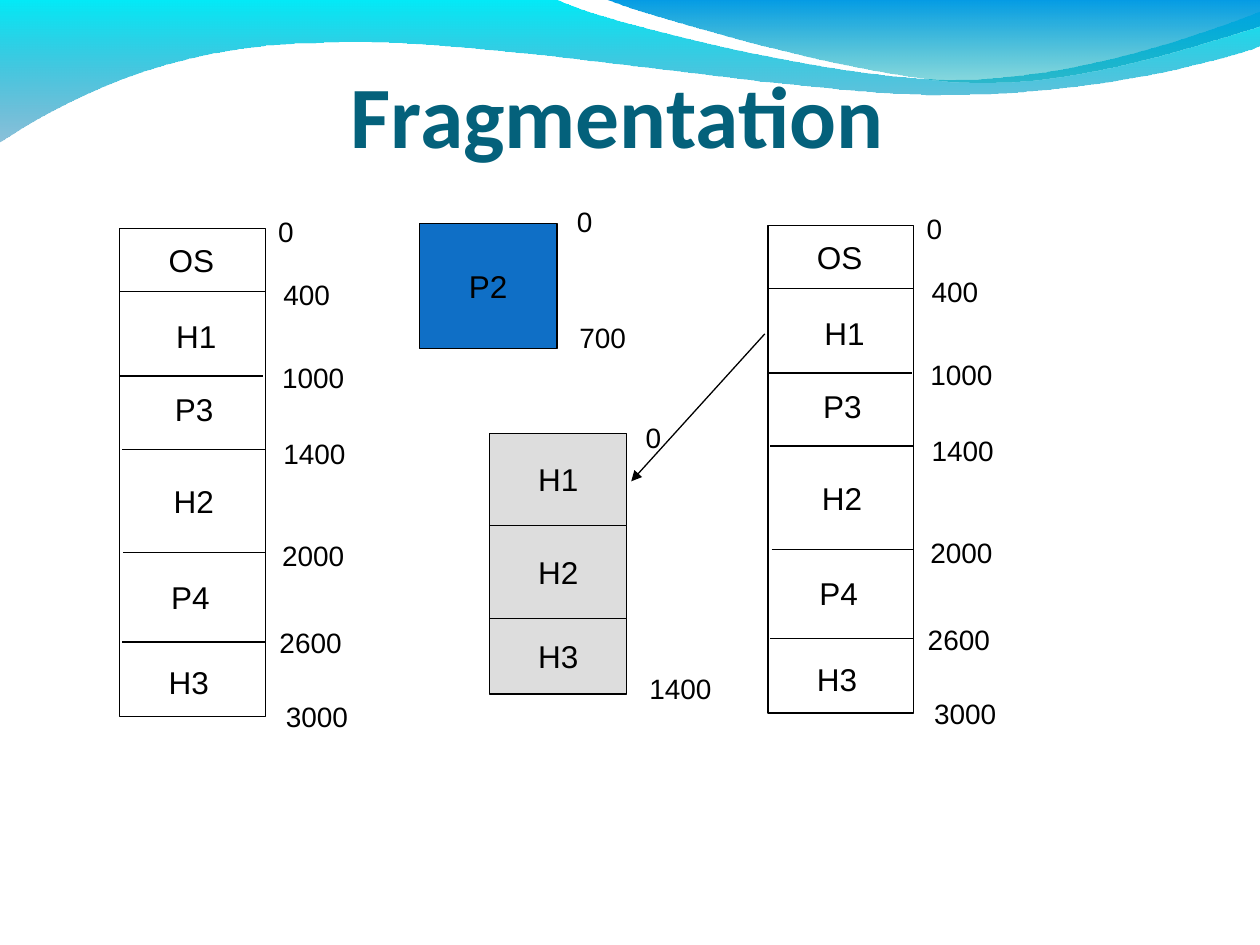
from lxml import etree
from pptx import Presentation
from pptx.dml.color import RGBColor
from pptx.enum.shapes import MSO_CONNECTOR, MSO_SHAPE
from pptx.enum.text import MSO_ANCHOR, MSO_AUTO_SIZE, PP_ALIGN
from pptx.oxml.ns import qn
from pptx.util import Inches, Pt

STRAIGHT = MSO_CONNECTOR.STRAIGHT
RECTANGLE = MSO_SHAPE.RECTANGLE
TOP, MIDDLE, BOTTOM = MSO_ANCHOR.TOP, MSO_ANCHOR.MIDDLE, MSO_ANCHOR.BOTTOM
LEFT, CENTER = PP_ALIGN.LEFT, PP_ALIGN.CENTER
FIT_SHAPE = MSO_AUTO_SIZE.SHAPE_TO_FIT_TEXT

BLACK = RGBColor(0x00, 0x00, 0x00)
TITLE_TEAL = RGBColor(0x04, 0x61, 0x7B)
PROCESS_BLUE = RGBColor(0x0F, 0x6F, 0xC6)
HOLE_GRAY = RGBColor(0xDD, 0xDD, 0xDD)
CYAN = RGBColor(0x00, 0xEB, 0xF8)
DEEP_TEAL = RGBColor(0x00, 0x79, 0xAF)
SKY = RGBColor(0x00, 0x9B, 0xE5)
SEA = RGBColor(0x00, 0xAD, 0xB6)

COLUMNS, ROWS = 1000, 750
WIDTH, HEIGHT = Inches(10), Inches(7.5)

LEFT_WAVE = [
    [(0, -1)], [(440, -1)],
    [(476, 17), (664, 63), (758, 63)], [(853, 63), (958, 26), (1000, 9)],
    [(1001, 36)],
    [(983, 44), (870, 76), (746, 75)], [(622, 75), (382, 28), (257, 34)],
    [(129, 35), (46, 83), (-1, 113)],
]
RIGHT_WAVE = [
    [(479, -1)],
    [(509, 11), (682, 62), (769, 65)], [(856, 69), (961, 32), (1000, 21)],
    [(1000, 0)],
]

MEMORY_DIVIDERS = [(0, 50, 115), (0, 117, 114), (2, 175, 114), (3, 257, 112), (2, 328, 114)]
MEMORY_ADDRESSES = [
    ("0", 116, -16), ("400", 120, 34), ("1000", 119, 100), ("1400", 120, 160),
    ("2000", 119, 241), ("2600", 117, 310), ("3000", 122, 369),
]
MEMORY_BLOCKS = [
    ("OS", 29, 5), ("H1", 35, 65), ("P3", 34, 123),
    ("H2", 33, 196), ("P4", 31, 272), ("H3", 29, 340),
]
HOLES = [("H1", 73), ("H2", 74), ("H3", 60)]


def column(count):
    return round(WIDTH * count / COLUMNS)


def row(count):
    return round(HEIGHT * count / ROWS)


def area(left, top, width, height):
    return column(left), row(top), column(width), row(height)


def write_text(shape, text, size=18, font="Arial", color=BLACK, bold=False,
               align=LEFT, anchor=TOP, wrap=False, margins=(10, 5, 10, 5)):
    frame = shape.text_frame
    frame.word_wrap = wrap
    frame.vertical_anchor = anchor
    left, top, right, bottom = margins
    frame.margin_left, frame.margin_right = column(left), column(right)
    frame.margin_top, frame.margin_bottom = row(top), row(bottom)
    para = frame.paragraphs[0]
    para.alignment = align
    span = para.add_run()
    span.text = text
    span.font.size = Pt(size)
    span.font.name = font
    span.font.bold = bold
    span.font.color.rgb = color


def add_label(page, text, left, top, width, height, size):
    box = page.shapes.add_textbox(*area(left, top, width, height))
    write_text(box, text, size=size)
    box.text_frame.auto_size = FIT_SHAPE


def add_address(page, text, left, top):
    add_label(page, text, left, top, 20 + 12.4 * len(text), 37, 16)


def add_block(page, left, top, width, height, fill=None, text=None):
    block = page.shapes.add_shape(RECTANGLE, *area(left, top, width, height))
    block.shadow.inherit = False
    if fill is None:
        block.fill.background()
    else:
        block.fill.solid()
        block.fill.fore_color.rgb = fill
    block.line.color.rgb = BLACK
    block.line.width = Pt(0.75)
    if text:
        write_text(block, text, align=CENTER, anchor=MIDDLE)


def add_line(page, start, end, arrow=False):
    line = page.shapes.add_connector(
        STRAIGHT, column(start[0]), row(start[1]), column(end[0]), row(end[1]))
    line.line.color.rgb = BLACK
    line.line.width = Pt(0.75)
    properties = line.element.spPr
    if arrow:
        etree.SubElement(properties.find(qn("a:ln")), qn("a:tailEnd"), type="triangle")
    etree.SubElement(properties, qn("a:effectLst"))


def bend_segments(wave, segments):
    steps = iter(wave.element.spPr.findall(".//" + qn("a:lnTo")))
    for segment in segments[1:]:
        first, *others = [next(steps) for point in segment]
        if others:
            first.tag = qn("a:cubicBezTo")
            for other in others:
                first.append(other[0])
                other.getparent().remove(other)


def add_wave(page, segments, top_color, bottom_color):
    points = [(column(x), row(y)) for segment in segments for x, y in segment]
    builder = page.shapes.build_freeform(*points[0])
    builder.add_line_segments(points[1:], close=True)
    wave = builder.convert_to_shape()
    bend_segments(wave, segments)
    wave.shadow.inherit = False
    wave.line.fill.background()
    wave.fill.gradient()
    wave.fill.gradient_angle = 270
    for stop, color in zip(wave.fill.gradient_stops, (top_color, bottom_color)):
        stop.color.rgb = color
    last_color = wave.element.spPr.findall(".//" + qn("a:srgbClr"))[-1]
    etree.SubElement(last_color, qn("a:alpha"), val="45000")


def add_title(page, text):
    box = page.shapes.add_textbox(*area(40, 32, 900, 100))
    write_text(box, text, size=50, font="Calibri", color=TITLE_TEAL, bold=True,
               align=CENTER, anchor=BOTTOM, wrap=True, margins=(0, 5, 0, 0))


def add_memory(page, left, top):
    add_block(page, left, top, 115.5, 387)
    for x, y, length in MEMORY_DIVIDERS:
        add_line(page, (left + x, top + y), (left + x + length, top + y))
    for text, x, y in MEMORY_ADDRESSES:
        add_address(page, text, left + x, top + y)
    for text, x, y in MEMORY_BLOCKS:
        add_label(page, text, left + x, top + y, 56, 40, 18)


def add_holes(page, left, top):
    add_address(page, "0", left + 114, top - 15)
    for text, height in HOLES:
        add_block(page, left, top, 109, height, HOLE_GRAY, text)
        top += height
    add_address(page, "1400", left + 117, top - 23)


def main():
    deck = Presentation()
    deck.slide_width, deck.slide_height = WIDTH, HEIGHT
    page = deck.slides.add_slide(deck.slide_layouts[6])
    add_wave(page, LEFT_WAVE, CYAN, DEEP_TEAL)
    add_wave(page, RIGHT_WAVE, SKY, SEA)
    add_title(page, "Fragmentation")
    add_memory(page, 95, 181.5)
    add_block(page, 333, 177.5, 109, 99, PROCESS_BLUE, "P2")
    add_address(page, "0", 448, 157.5)
    add_address(page, "700", 450, 249.5)
    add_memory(page, 609.5, 179)
    add_line(page, (607, 265), (501, 382), arrow=True)
    add_holes(page, 388.5, 344)
    deck.save("out.pptx")


if __name__ == "__main__":
    main()
